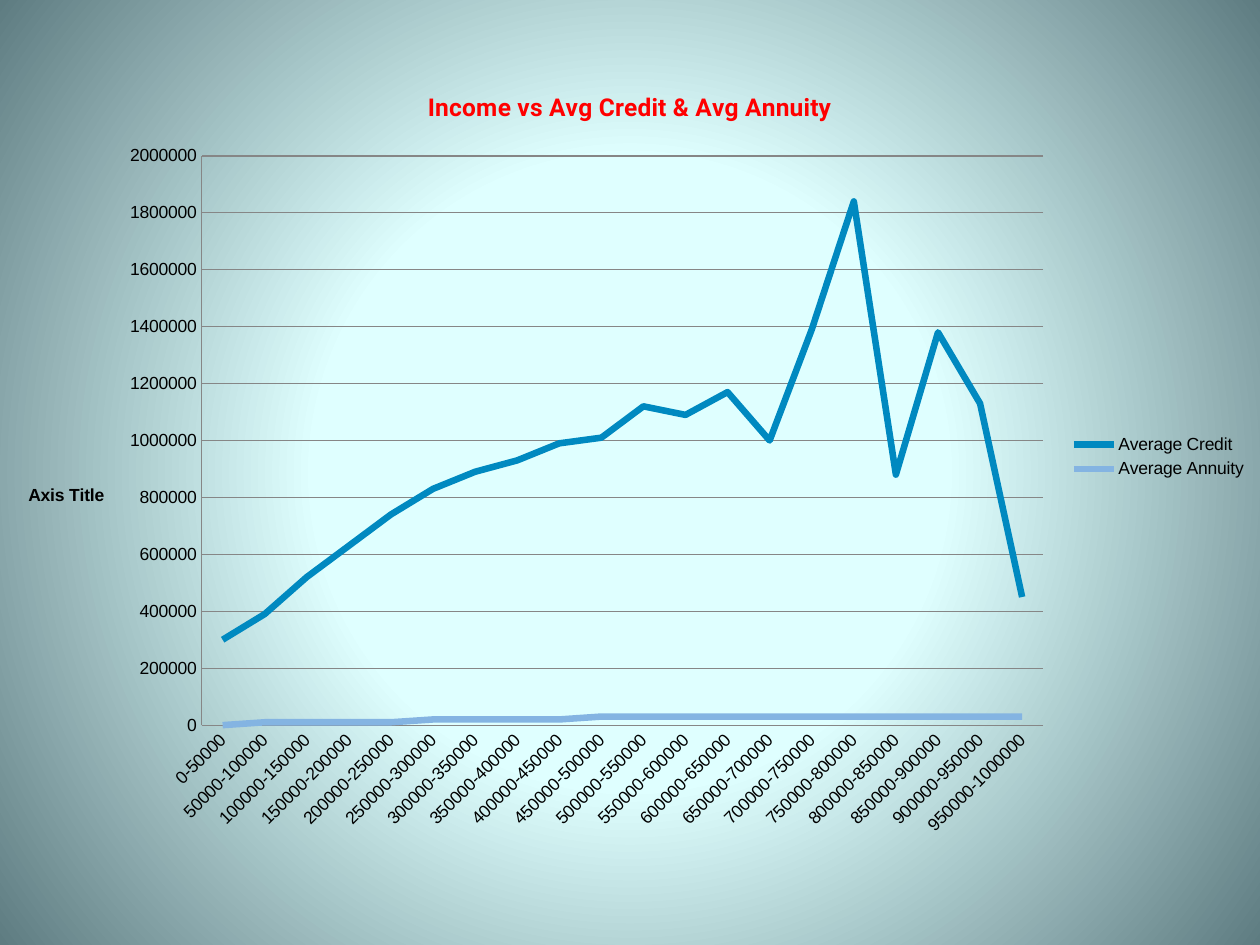
"""Build a slide with a line chart of income against average credit and annuity."""
from pptx import Presentation
from pptx.chart.data import CategoryChartData
from pptx.dml.color import RGBColor
from pptx.enum.chart import XL_CHART_TYPE, XL_LEGEND_POSITION, XL_MARKER_STYLE, XL_TICK_MARK
from pptx.oxml import parse_xml
from pptx.oxml.ns import nsdecls, qn
from pptx.util import Pt

LINE = XL_CHART_TYPE.LINE
RIGHT = XL_LEGEND_POSITION.RIGHT
PLAIN = XL_MARKER_STYLE.NONE
NO_TICK = XL_TICK_MARK.NONE

TITLE = "Income vs Avg Credit & Avg Annuity"
AXIS = "Axis Title"
STEP = 50
CREDIT = [300, 390, 520, 630, 740, 830, 890, 930, 990, 1010,
          1120, 1090, 1170, 1000, 1390, 1840, 880, 1380, 1130, 450]
ANNUITY = [0] + [10] * 4 + [20] * 4 + [30] * 11
SERIES = [("Average Credit ", CREDIT, "credit"), ("Average Annuity", ANNUITY, "annuity")]
COLORS = {"credit": "0089C0", "annuity": "84B4E2", "title": "FF0000",
          "text": "000000", "grid": "868686"}
STOPS = [(0, "E2FFFF"), (40, "DFFFFF"), (100, "5E7C81")]
PLOT = {"x": 0.16, "y": 0.118, "w": 0.668, "h": 0.723}
LABEL = {"x": 0.02, "y": 0.53}


def style(font, size, color, bold=False, name="Arial"):
    font.size, font.bold, font.name = Pt(size), bold, name
    font.color.rgb = RGBColor.from_string(COLORS[color])


def stroke(line, color, width):
    line.color.rgb = RGBColor.from_string(COLORS[color])
    line.width = Pt(width)


def place(node, index, spots, inner=False):
    for old in node.findall(qn("c:layout")):
        node.remove(old)
    target = '<c:layoutTarget val="inner"/>' if inner else ""
    modes = "".join(f'<c:{key}Mode val="edge"/>' for key in spots if key in "xy")
    sizes = "".join(f'<c:{key} val="{val}"/>' for key, val in spots.items())
    node.insert(index, parse_xml(
        f'<c:layout {nsdecls("c")}><c:manualLayout>{target}{modes}{sizes}'
        '</c:manualLayout></c:layout>'))


def paint(slide):
    slide.background.fill.gradient()
    old = slide.element.find(".//" + qn("a:gradFill"))
    stops = "".join(f'<a:gs pos="{pos * 1000}"><a:srgbClr val="{color}"/></a:gs>'
                    for pos, color in STOPS)
    old.getparent().replace(old, parse_xml(
        f'<a:gradFill {nsdecls("a")} rotWithShape="1"><a:gsLst>{stops}</a:gsLst>'
        '<a:path path="circle"><a:fillToRect l="50000" t="50000" r="50000" b="50000"/>'
        '</a:path></a:gradFill>'))


def turn(body, angle):
    body.set("rot", str(angle * 60000))
    body.set("vert", "horz")


def draw(slide):
    data = CategoryChartData(number_format="General")
    data.categories = [f"{low * 1000 if low else 0}-{(low + STEP) * 1000}"
                       for low in range(0, STEP * len(CREDIT), STEP)]
    for name, vals, _ in SERIES:
        data.add_series(name, [val * 1000 for val in vals])
    chart = slide.shapes.add_chart(LINE, 0, Pt(36), Pt(720), Pt(450), data).chart
    style(chart.font, 10, "text")

    chart.has_title = True
    head = chart.chart_title.text_frame
    head.text = TITLE
    style(head.paragraphs[0].runs[0].font, 14, "title", True, "Roboto")
    chart.has_legend = True
    chart.legend.position = RIGHT
    chart.legend.include_in_layout = False
    style(chart.legend.font, 10, "text")

    plot = chart.plots[0]
    plot.vary_by_categories = False
    for series, (_, _, color) in zip(plot.series, SERIES):
        series.smooth = False
        series.marker.style = PLAIN
        stroke(series.format.line, color, 3.75)

    cats, vals = chart.category_axis, chart.value_axis
    for axis in (cats, vals):
        axis.major_tick_mark = axis.minor_tick_mark = NO_TICK
        style(axis.tick_labels.font, 10, "text")
        stroke(axis.format.line, "grid", 0.75)
    turn(cats._element.find(".//" + qn("a:bodyPr")), -45)
    vals.minimum_scale, vals.maximum_scale, vals.major_unit = 0, 2000000, 200000
    vals.has_major_gridlines = True
    stroke(vals.major_gridlines.format.line, "grid", 0.75)

    label = vals.axis_title.text_frame
    label.text = AXIS
    style(label.paragraphs[0].runs[0].font, 10, "text", True)
    title = vals._element.find(qn("c:title"))
    turn(title.find(".//" + qn("a:bodyPr")), 0)
    place(title, 1, LABEL)
    place(chart._chartSpace.find(".//" + qn("c:plotArea")), 0, PLOT, True)


def main():
    deck = Presentation()
    deck.slide_width, deck.slide_height = Pt(720), Pt(540)
    slide = deck.slides.add_slide(deck.slide_layouts[6])
    paint(slide)
    draw(slide)
    deck.save("out.pptx")


if __name__ == "__main__":
    main()
